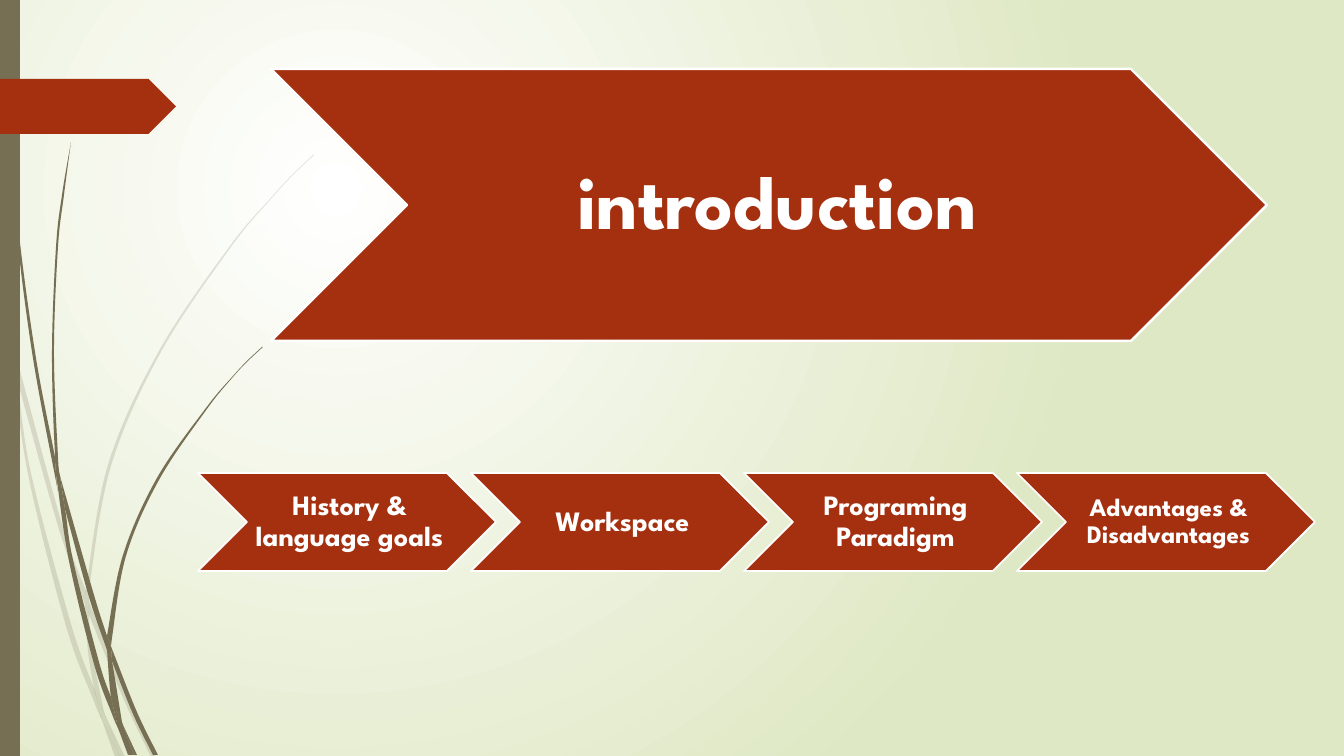
from lxml.etree import SubElement as Sub
from pptx import Presentation
from pptx.dml.color import RGBColor
from pptx.enum.shapes import MSO_SHAPE as Kind
from pptx.enum.text import MSO_ANCHOR as Anchor, PP_ALIGN as Align
from pptx.oxml.ns import qn
from pptx.util import Pt

SCALE = 914400 / 100.8
RUST = RGBColor(0xA5, 0x30, 0x10)
OLIVE = RGBColor(0x76, 0x6F, 0x54)
WHITE = RGBColor(0xFF, 0xFF, 0xFF)
SAGE = RGBColor(0xDF, 0xE8, 0xC4)

PALE = [
    [[(11, 353), (9, 325), (0, 284)], [(0, 301), (10, 347)]],
    [[(17, 379), (58, 526), (85, 604)], [(86, 591), (62, 524), (14, 348)]],
    [[(89, 615), (124, 700), (151, 757)],
     [(156, 757), (128, 698), (93, 612), (89, 601)]],
    [[(120, 757), (125, 757)], [(106, 717)]],
    [[(94, 688), (71, 624), (31, 473), (17, 379), (11, 353)],
     [(11, 353), (28, 474), (66, 626), (93, 699), (102, 720)], [(100, 713)]],
    [[(85, 604), (88, 651), (94, 688), (97, 698), (106, 717)],
     [(104, 712), (92, 651), (89, 615), (89, 613)]],
    [[(89, 589), (111, 466), (161, 352), (231, 247), (270, 200), (292, 176),
      (314, 155)],
     [(314, 154), (291, 176), (270, 199), (230, 246), (159, 351), (108, 465),
      (86, 589), (86, 591)], [(89, 601)]],
    [[(102, 720), (115, 757)], [(120, 757)]],
    [[(89, 613), (89, 615)], [(89, 601), (86, 591)], [(85, 604)]],
    [[(94, 688), (100, 713), (102, 720), (120, 757)], [(106, 717), (97, 698)]],
]
DARK = [
    [[(3, 0), (4, 48), (7, 111), (17, 235), (33, 358), (56, 481), (57, 485)],
     [(55, 461), (55, 457), (36, 358), (19, 234), (8, 110), (5, 48), (4, 0)]],
    [[(65, 509), (89, 597), (107, 650)],
     [(107, 638), (107, 636), (94, 595), (60, 476)]],
    [[(112, 661), (133, 714), (153, 755)],
     [(158, 755), (137, 712), (114, 654), (111, 646)]],
    [[(111, 697), (99, 662), (73, 560), (65, 509), (57, 481)],
     [(57, 481), (69, 561), (94, 664), (112, 714), (118, 728)], [(117, 723)]],
    [[(60, 476), (58, 457), (54, 352), (58, 247), (64, 195), (71, 142)],
     [(71, 142), (62, 195), (56, 247), (52, 352), (55, 453), (60, 476)]],
    [[(134, 755), (137, 755)], [(123, 725)]],
    [[(55, 457), (57, 481), (65, 509)], [(60, 476), (55, 453)]],
    [[(112, 638), (126, 556), (159, 480), (207, 409), (233, 377), (247, 362),
      (263, 347)],
     [(262, 347), (247, 361), (233, 376), (206, 408), (157, 478), (123, 555),
      (107, 636)], [(111, 646)]],
    [[(118, 728), (128, 755)], [(132, 755)]],
    [[(107, 650), (111, 697), (117, 712), (123, 725)],
     [(122, 722), (112, 661), (110, 656)]],
    [[(107, 650), (110, 656), (112, 661)], [(111, 646), (107, 636)]],
    [[(111, 697), (117, 723), (118, 728), (131, 755)],
     [(134, 755), (123, 725), (117, 712)]],
]
STEPS = [("History & language goals", 20), ("Workspace", 20),
         ("Programing Paradigm", 20), ("Advantages & Disadvantages", 18)]


def emu(px):
    """Turn pixels into EMU."""
    return round(px * SCALE)


def paint(shape, color, edge=0):
    """Fill a shape and give it a white edge if one is asked for."""
    shape.shadow.inherit = False
    shape.fill.solid()
    shape.fill.fore_color.rgb = color
    if edge:
        shape.line.color.rgb = WHITE
        shape.line.width = Pt(edge)
    else:
        shape.line.fill.background()
    return shape


def block(slide, kind, box, color, edge=0):
    """Add a preset shape at a pixel box."""
    shape = slide.shapes.add_shape(kind, *map(emu, box))
    return paint(shape, color, edge)


def arrow(slide, box, text, size, edge, pad, gap):
    """Add a chevron with centred bold text."""
    frame = block(slide, Kind.CHEVRON, box, RUST, edge).text_frame
    look = {"word_wrap": True, "vertical_anchor": Anchor.MIDDLE,
            "margin_left": emu(pad), "margin_right": emu(gap),
            "margin_top": emu(gap), "margin_bottom": emu(gap)}
    for key, val in look.items():
        setattr(frame, key, val)
    para = frame.paragraphs[0]
    para.alignment, para.line_spacing = Align.CENTER, 0.9
    run = para.add_run()
    run.text = text
    for key, val in {"name": "League Spartan", "size": Pt(size), "bold": True}.items():
        setattr(run.font, key, val)
    run.font.color.rgb = WHITE


def bend(side):
    """Give control and end points of a smooth curve through a side."""
    ends = [side[0], *side, side[-1]]
    for a, b, c, d in zip(ends, ends[1:], ends[2:], ends[3:]):
        yield tuple(q + (r - p) / 6 for p, q, r in zip(a, b, c))
        yield tuple(r - (s - q) / 6 for q, r, s in zip(b, c, d))
        yield c


def blade(slide, sides, alpha):
    """Draw a piece of grass whose sides are smooth curves."""
    rim = list(bend(sides[0]))
    for side in sides[1:]:
        rim += [rim[-1], side[0], side[0], *bend(side)]
    pen = slide.shapes.build_freeform(*map(emu, sides[0][0]))
    pen.add_line_segments([tuple(map(emu, dot)) for dot in rim], close=True)
    shape = paint(pen.convert_to_shape(), OLIVE)
    track = shape._element.find(".//" + qn("a:path"))
    lines = track.findall(qn("a:lnTo"))
    for trio in zip(lines[::3], lines[1::3], lines[2::3]):
        curve = Sub(track, qn("a:cubicBezTo"))
        for line in trio:
            curve.append(line[0])
            track.remove(line)
    track.append(track.find(qn("a:close")))
    if alpha < 100:
        tint = shape._element.spPr.find(qn("a:solidFill"))[0]
        Sub(tint, qn("a:alpha"), val=str(alpha * 1000))


def glow(slide):
    """Set the round gradient of the background."""
    fill = slide.background.fill
    fill.gradient()
    for stop, color, place in zip(fill.gradient_stops, (WHITE, SAGE), (0, 1)):
        stop.color.rgb = color
        stop.position = place
    grad = slide._element.find(".//" + qn("a:gradFill"))
    grad.remove(grad.find(qn("a:lin")))
    ring = Sub(grad, qn("a:path"), path="circle")
    Sub(ring, qn("a:fillToRect"), l="50000", t="50000", r="100000", b="100000")


def main():
    """Build the slide and save it."""
    deck = Presentation()
    deck.slide_width, deck.slide_height = emu(1344), emu(756)
    slide = deck.slides.add_slide(deck.slide_layouts[6])
    glow(slide)
    for group, alpha in ((PALE, 20), (DARK, 100)):
        for sides in group:
            blade(slide, sides, alpha)
    block(slide, Kind.RECTANGLE, (0, 0, 20, 756), OLIVE)
    block(slide, Kind.PENTAGON, (0, 79, 176, 55), RUST)
    arrow(slide, (271, 69, 996, 272), "introduction", 54, 1.75, 24, 8)
    for i, (text, size) in enumerate(STEPS):
        arrow(slide, (198 + 273 * i, 473, 298, 98), text, size, 1.25, 8, 3)
    deck.save("out.pptx")


main()
